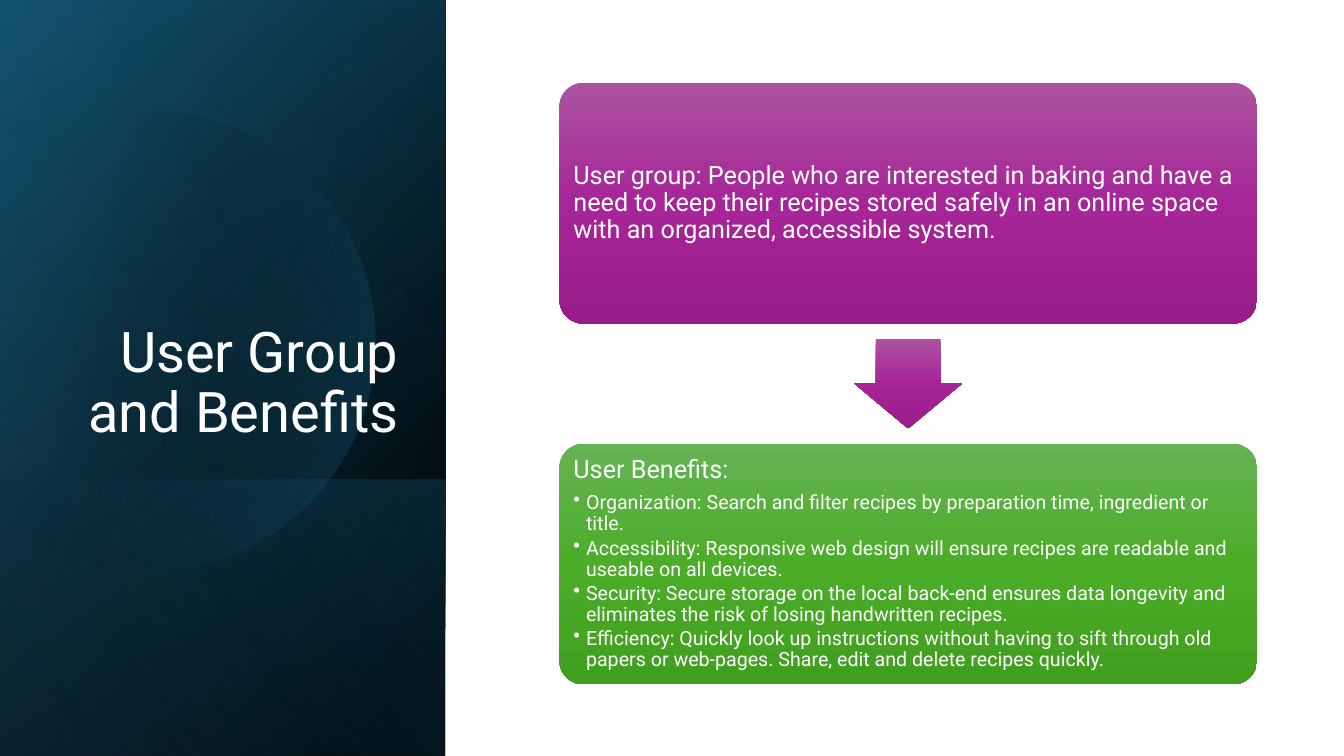
from dataclasses import dataclass
from lxml import etree
from pptx import Presentation
from pptx.dml.color import RGBColor
from pptx.enum.shapes import MSO_SHAPE as Preset
from pptx.enum.text import MSO_ANCHOR as Anchor, PP_ALIGN as Align
from pptx.oxml.ns import qn
from pptx.slide import Slide
from pptx.util import Pt

WHITE = RGBColor(0xFF, 0xFF, 0xFF)
BLACK = RGBColor(0x00, 0x00, 0x00)
NAVY = RGBColor(0x10, 0x48, 0x62)
TEAL = RGBColor(0x15, 0x60, 0x82)
SKY = RGBColor(0x46, 0xB1, 0xE1)
PURPLES = (RGBColor(0xAC, 0x53, 0xA0), RGBColor(0xA6, 0x25, 0x98), RGBColor(0x99, 0x1C, 0x8B))
GREENS = (RGBColor(0x66, 0xB3, 0x54), RGBColor(0x4B, 0xAD, 0x28), RGBColor(0x40, 0x9F, 0x1E))

PANEL_WIDTH, PAGE_HEIGHT = 318.24, 540
CARD_LEFT, CARD_WIDTH, CARD_HEIGHT = 399.6, 498.24, 172.08
CARD_TOPS = (59.04, 316.8)
ARROW_WIDTH, ARROW_HEIGHT = 77.04, 64.08

USER_GROUP = ("User group: People who are interested in baking and have a need to keep "
              "their recipes stored safely in an online space with an organized, accessible system.")
BENEFITS = (
    "Organization: Search and filter recipes by preparation time, ingredient or title.",
    "Accessibility: Responsive web design will ensure recipes are readable and useable on all devices.",
    "Security: Secure storage on the local back-end ensures data longevity and eliminates "
    "the risk of losing handwritten recipes.",
    "Efficiency: Quickly look up instructions without having to sift through old papers or "
    "web-pages. Share, edit and delete recipes quickly.",
)

CIRCLE_START = (107.3, 79.2)
CIRCLE_CURVES = (
    ((177.1, 80.6), (241.2, 127.4), (261.4, 198)),
    ((286.6, 285.8), (236.2, 376.6), (149, 401.8)),
    ((94.3, 417.6), (38.2, 403.9), (-2.2, 370.1)),
    ((-10.8, 362.2),),
    ((-10.8, 126),),
    ((0, 115.9),),
    ((16.6, 102.2), (36, 92.9), (57.6, 85.7)),
    ((74.2, 81.4), (90.7, 79.2), CIRCLE_START),
)


def curve_points(start, first, second, end, steps=16):
    for step in range(1, steps + 1):
        t = step / steps
        u = 1 - t
        yield tuple(u**3 * a + 3 * u * u * t * b + 3 * u * t * t * c + t**3 * d
                    for a, b, c, d in zip(start, first, second, end))


@dataclass
class Page:
    slide: Slide
    font: str = "Roboto"

    def gradient(self, shape, stops, angle):
        shape.shadow.inherit = False
        shape.line.fill.background()
        shape.fill.gradient()
        gradient = shape.element.spPr.find(qn("a:gradFill"))
        for child in list(gradient):
            gradient.remove(child)
        stop_list = etree.SubElement(gradient, qn("a:gsLst"))
        for position, color, opacity in stops:
            stop = etree.SubElement(stop_list, qn("a:gs"), pos=str(position * 1000))
            tint = etree.SubElement(stop, qn("a:srgbClr"), val=str(color))
            if opacity < 100:
                etree.SubElement(tint, qn("a:alpha"), val=str(opacity * 1000))
        etree.SubElement(gradient, qn("a:lin"), ang=str(angle * 60000), scaled="0")

    def preset(self, kind, left, top, width, height, stops, angle, adjustments=()):
        shape = self.slide.shapes.add_shape(kind, Pt(left), Pt(top), Pt(width), Pt(height))
        for index, value in enumerate(adjustments):
            shape.adjustments[index] = value
        self.gradient(shape, stops, angle)
        return shape

    def backdrop(self, top, stops, angle):
        height = PAGE_HEIGHT - top
        shift = (PANEL_WIDTH - height) / 2
        shape = self.preset(Preset.RECTANGLE, shift, top - shift, height, PANEL_WIDTH, stops, angle)
        shape.rotation = 90
        shape.element.spPr.find(qn("a:xfrm")).set("flipH", "1")

    def outline(self, start, curves, stops, angle):
        points = [start]
        for curve in curves:
            points.extend(curve_points(points[-1], *curve) if len(curve) == 3 else curve)
        (left, top), *rest = [(Pt(x), Pt(y)) for x, y in points]
        builder = self.slide.shapes.build_freeform(left, top)
        builder.add_line_segments(rest, close=True)
        self.gradient(builder.convert_to_shape(), stops, angle)

    def paragraph(self, para, text, size, align=Align.LEFT, after=0):
        para.text = text
        para.alignment = align
        para.line_spacing = 0.9
        para.space_after = Pt(after)
        for span in para.runs:
            span.font.name = self.font
            span.font.size = Pt(size)
            span.font.color.rgb = WHITE

    def title(self, text, left, top, width, height):
        box = self.slide.shapes.add_textbox(Pt(left), Pt(top), Pt(width), Pt(height))
        box.text_frame.word_wrap = True
        box.text_frame.vertical_anchor = Anchor.BOTTOM
        self.paragraph(box.text_frame.paragraphs[0], text, 40, Align.RIGHT)

    def card(self, top, colors, heading, bullets=()):
        box = self.preset(Preset.ROUNDED_RECTANGLE, CARD_LEFT, top, CARD_WIDTH, CARD_HEIGHT,
                          shades(colors), 90, (0.1,))
        frame = box.text_frame
        frame.word_wrap = True
        frame.vertical_anchor = Anchor.MIDDLE
        frame.margin_left = frame.margin_right = frame.margin_top = frame.margin_bottom = Pt(5)
        self.paragraph(frame.paragraphs[0], heading, 18, after=6.3)
        for bullet in bullets:
            para = frame.add_paragraph()
            para.level = 1
            properties = para._p.get_or_add_pPr()
            properties.set("marL", str(Pt(9)))
            properties.set("indent", str(-Pt(9)))
            etree.SubElement(properties, qn("a:buChar"), char="•")
            self.paragraph(para, bullet, 14, after=2.1)


def shades(colors):
    return [(index * 50, color, 100) for index, color in enumerate(colors)]


def main():
    deck = Presentation()
    deck.slide_width, deck.slide_height = Pt(960), Pt(PAGE_HEIGHT)
    page = Page(deck.slides.add_slide(deck.slide_layouts[6]))

    page.backdrop(0, [(8, BLACK, 100), (100, NAVY, 100)], 50)
    page.backdrop(0, [(0, BLACK, 0), (99, TEAL, 46)], 30)
    page.backdrop(342.72, [(2, TEAL, 29), (100, BLACK, 30)], 130)
    page.outline(CIRCLE_START, CIRCLE_CURVES, [(29, BLACK, 0), (100, TEAL, 43)], 14)
    page.backdrop(0, [(0, BLACK, 0), (99, SKY, 11)], 120)
    page.title("User Group and Benefits", 46.08, 132.48, 245.52, 188.64)

    page.card(CARD_TOPS[0], PURPLES, USER_GROUP)
    arrow_left = CARD_LEFT + (CARD_WIDTH - ARROW_WIDTH) / 2
    arrow_top = (sum(CARD_TOPS) + CARD_HEIGHT - ARROW_HEIGHT) / 2
    page.preset(Preset.DOWN_ARROW, arrow_left, arrow_top, ARROW_WIDTH, ARROW_HEIGHT,
                shades(PURPLES), 90, (0.6, 0.5))
    page.card(CARD_TOPS[1], GREENS, "User Benefits:", BENEFITS)

    deck.save("out.pptx")


if __name__ == "__main__":
    main()
